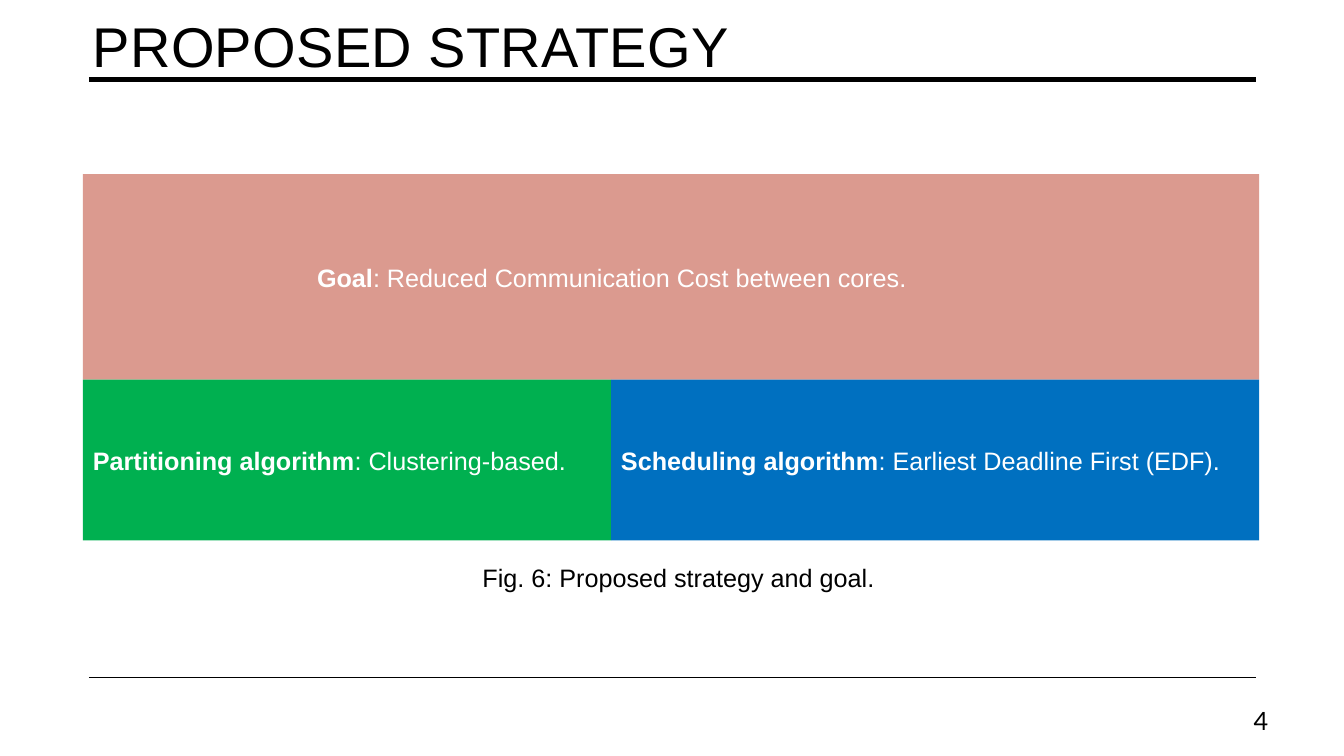
from pptx import Presentation
from pptx.dml.color import RGBColor
from pptx.enum.shapes import MSO_CONNECTOR, MSO_SHAPE
from pptx.enum.text import MSO_ANCHOR, MSO_AUTO_SIZE, PP_ALIGN
from pptx.oxml.ns import qn
from pptx.util import Cm, Pt

BLACK = RGBColor(0x00, 0x00, 0x00)
WHITE = RGBColor(0xFF, 0xFF, 0xFF)
PINK = RGBColor(0xDB, 0x9A, 0x8F)
GREEN = RGBColor(0x00, 0xB0, 0x50)
BLUE = RGBColor(0x00, 0x70, 0xC0)


def add_run(p, text, size=18, color=BLACK, bold=False, font="Arial"):
    r = p.add_run()
    r.text = text
    r.font.name = font
    r.font.size = Pt(size)
    r.font.bold = bold
    r.font.color.rgb = color
    return r


def add_rule(slide, left, top, width, weight):
    line = slide.shapes.add_connector(
        MSO_CONNECTOR.STRAIGHT, Cm(left), Cm(top), Cm(left + width), Cm(top))
    line.line.color.rgb = BLACK
    line.line.width = Pt(weight)
    spPr = line._element.spPr
    spPr.append(spPr.makeelement(qn("a:effectLst"), {}))


def add_title(slide, text, left, top, width, height):
    title = slide.shapes.title
    title.left, title.top = Cm(left), Cm(top)
    title.width, title.height = Cm(width), Cm(height)
    tf = title.text_frame
    tf.auto_size = MSO_AUTO_SIZE.NONE
    tf.vertical_anchor = MSO_ANCHOR.TOP
    tf.margin_top = Cm(0.28)
    p = tf.paragraphs[0]
    p.alignment = PP_ALIGN.LEFT
    r = add_run(p, text, size=40)
    r.font._element.set("spc", "30")


def add_block(slide, label, detail, fill, left, top, width, height, indent=0):
    """Draw a filled block with a bold label followed by plain text."""
    sp = slide.shapes.add_shape(
        MSO_SHAPE.RECTANGLE, Cm(left), Cm(top), Cm(width), Cm(height))
    sp.shadow.inherit = False
    sp.fill.solid()
    sp.fill.fore_color.rgb = fill
    sp.line.fill.background()
    tf = sp.text_frame
    tf.word_wrap = True
    tf.vertical_anchor = MSO_ANCHOR.MIDDLE
    tf.margin_left = Cm(0.25 + indent)
    p = tf.paragraphs[0]
    p.alignment = PP_ALIGN.LEFT
    add_run(p, label, color=WHITE, bold=True)
    add_run(p, ": " + detail, color=WHITE)


def add_strategy(slide, left, top, width, height):
    """Stack the goal over the two algorithms that support it."""
    goal_h, partition_w = 5.18, 13.31
    base_top, base_h = top + goal_h, height - goal_h
    add_block(slide, "Goal", "Reduced Communication Cost between cores.", PINK,
              left, top, width, goal_h, indent=5.65)
    add_block(slide, "Partitioning algorithm", "Clustering-based.", GREEN,
              left, base_top, partition_w, base_h)
    add_block(slide, "Scheduling algorithm", "Earliest Deadline First (EDF).", BLUE,
              left + partition_w, base_top, width - partition_w, base_h)


def add_label(slide, text, left, top, width, height, wrap=False,
              align=PP_ALIGN.LEFT, anchor=MSO_ANCHOR.TOP, font="Arial"):
    box = slide.shapes.add_textbox(Cm(left), Cm(top), Cm(width), Cm(height))
    tf = box.text_frame
    tf.word_wrap = wrap
    tf.vertical_anchor = anchor
    p = tf.paragraphs[0]
    p.alignment = align
    add_run(p, text, font=font)


def main():
    prs = Presentation()
    prs.slide_width, prs.slide_height = Cm(33.87), Cm(19.05)
    slide = prs.slides.add_slide(prs.slide_layouts[5])
    add_rule(slide, 2.24, 2.01, 29.41, 3.5)
    add_rule(slide, 2.24, 17.07, 29.41, 1)
    add_title(slide, "PROPOSED STRATEGY", 2.08, 0, 29.69, 3.63)
    add_strategy(slide, 2.09, 4.39, 29.64, 9.23)
    add_label(slide, "4", 30.33, 17.65, 1.88, 1.02, wrap=True,
              align=PP_ALIGN.RIGHT, anchor=MSO_ANCHOR.MIDDLE, font="Lato")
    add_label(slide, "Fig. 6: Proposed strategy and goal.", 11.91, 14.05, 10.49, 1.02)
    prs.save("out.pptx")


if __name__ == "__main__":
    main()
